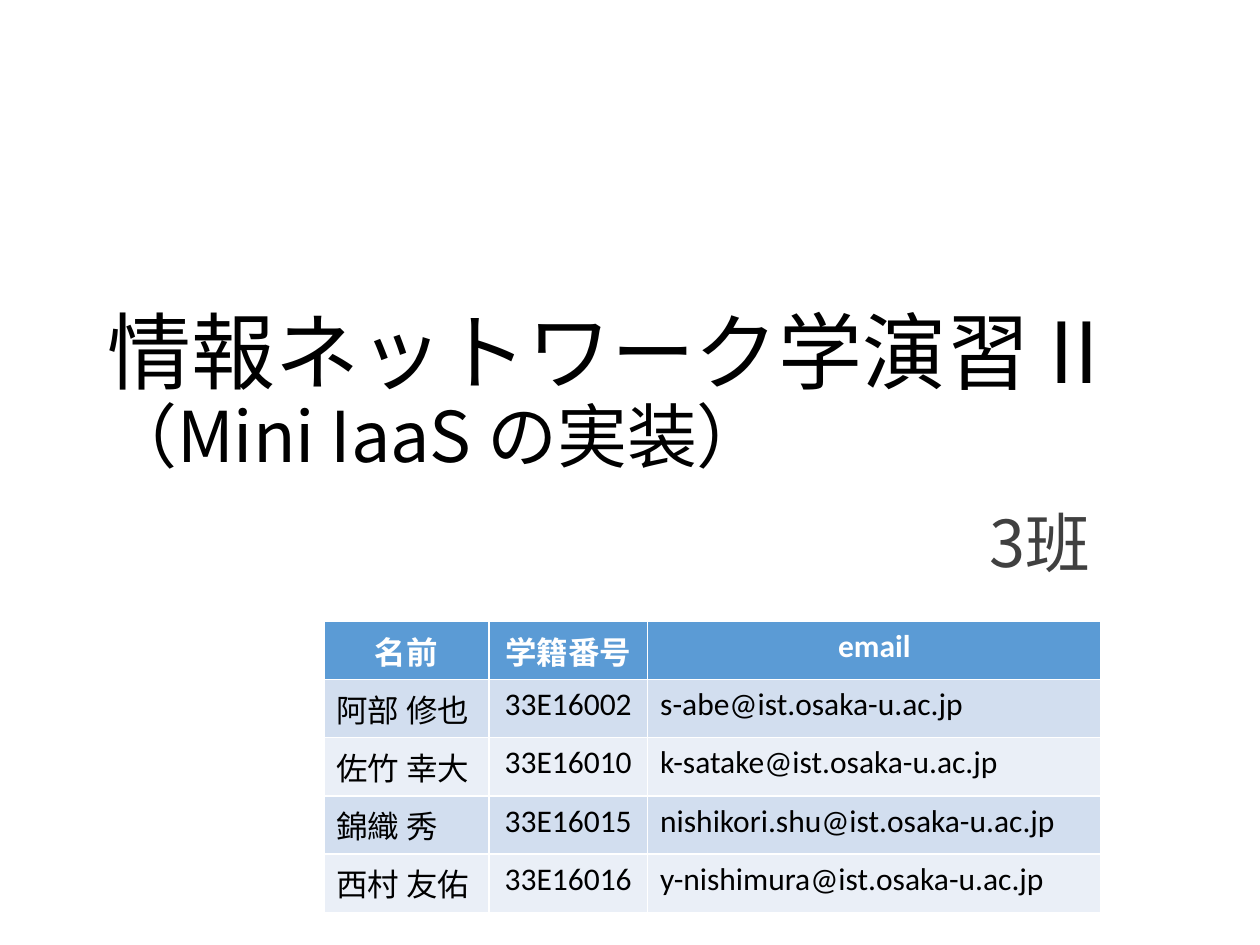
from lxml.etree import SubElement
from pptx import Presentation
from pptx.dml.color import RGBColor as Rgb
from pptx.enum.text import MSO_ANCHOR as Anchor, MSO_AUTO_SIZE as Auto, PP_ALIGN as Align
from pptx.oxml.ns import qn
from pptx.util import Inches, Pt

HEX = {"black": "000000", "gray": "404040", "white": "FFFFFF",
       "head": "5B9BD5", "odd": "D2DEEF", "even": "EAEFF7"}
SANS = "Noto Sans CJK JP"
ROWS = [
    ("名前", "学籍番号", "email"),
    ("阿部 修也", "33E16002", "s-abe@ist.osaka-u.ac.jp"),
    ("佐竹 幸大", "33E16010", "k-satake@ist.osaka-u.ac.jp"),
    ("錦織 秀", "33E16015", "nishikori.shu@ist.osaka-u.ac.jp"),
    ("西村 友佑", "33E16016", "y-nishimura@ist.osaka-u.ac.jp"),
]


def color(name):
    """Return the named colour."""
    return Rgb.from_string(HEX[name])


def style(font, size, tint, face, bold=False):
    """Set size, colour, face and weight of a font."""
    font.size, font.bold, font.name = Pt(size), bold, face
    font.color.rgb = color(tint)


def add_text(shape, box, lines, tint, align, anchor):
    """Place a placeholder and fill it with sized lines of one paragraph."""
    shape.left, shape.top, shape.width, shape.height = map(Inches, box)
    frame = shape.text_frame
    frame.word_wrap, frame.auto_size = True, Auto.NONE
    frame.vertical_anchor = anchor
    para = frame.paragraphs[0]
    para.alignment = align
    para.line_spacing = 0.9
    for i, (text, size) in enumerate(lines):
        if i:
            para.add_line_break()
        run = para.add_run()
        run.text = text
        style(run.font, size, tint, SANS)
        SubElement(run.font._element, qn("a:ea"), typeface=SANS)
    return para


def add_members(slide, box, widths):
    """Add the table of group members."""
    shape = slide.shapes.add_table(len(ROWS), len(widths), *map(Inches, box))
    table = shape.table
    for col, width in zip(table.columns, widths):
        col.width = Inches(width)
    for r, row in enumerate(ROWS):
        table.rows[r].height = Inches(box[3] / len(ROWS))
        fill = "head" if r == 0 else "odd" if r % 2 else "even"
        for c, text in enumerate(row):
            cell = table.cell(r, c)
            cell.text = text
            cell.fill.solid()
            cell.fill.fore_color.rgb = color(fill)
            para = cell.text_frame.paragraphs[0]
            para.alignment = Align.CENTER if r == 0 or c == 1 else Align.LEFT
            style(para.font, 18, "black" if r else "white", "Calibri", r == 0)


def main():
    """Build the title slide and save it."""
    deck = Presentation()
    deck.slide_width, deck.slide_height = Inches(10), Inches(7.5)
    slide = deck.slides.add_slide(deck.slide_layouts[0])
    title = [("情報ネットワーク学演習 II", 48), ("（Mini IaaS の実装）", 40)]
    add_text(slide.shapes.title, (0.75, 1.23, 8.5, 2.61), title,
             "black", Align.LEFT, Anchor.BOTTOM)
    group = add_text(slide.placeholders[1], (1.25, 3.94, 7.5, 0.73),
                     [("3班", 37)], "gray", Align.RIGHT, Anchor.TOP)
    group.space_before = Pt(12)
    group.line_spacing = 1.0
    add_members(slide, (2.57, 4.93, 6.17, 2.05), (1.31, 1.26, 3.6))
    deck.save("out.pptx")


if __name__ == "__main__":
    main()
